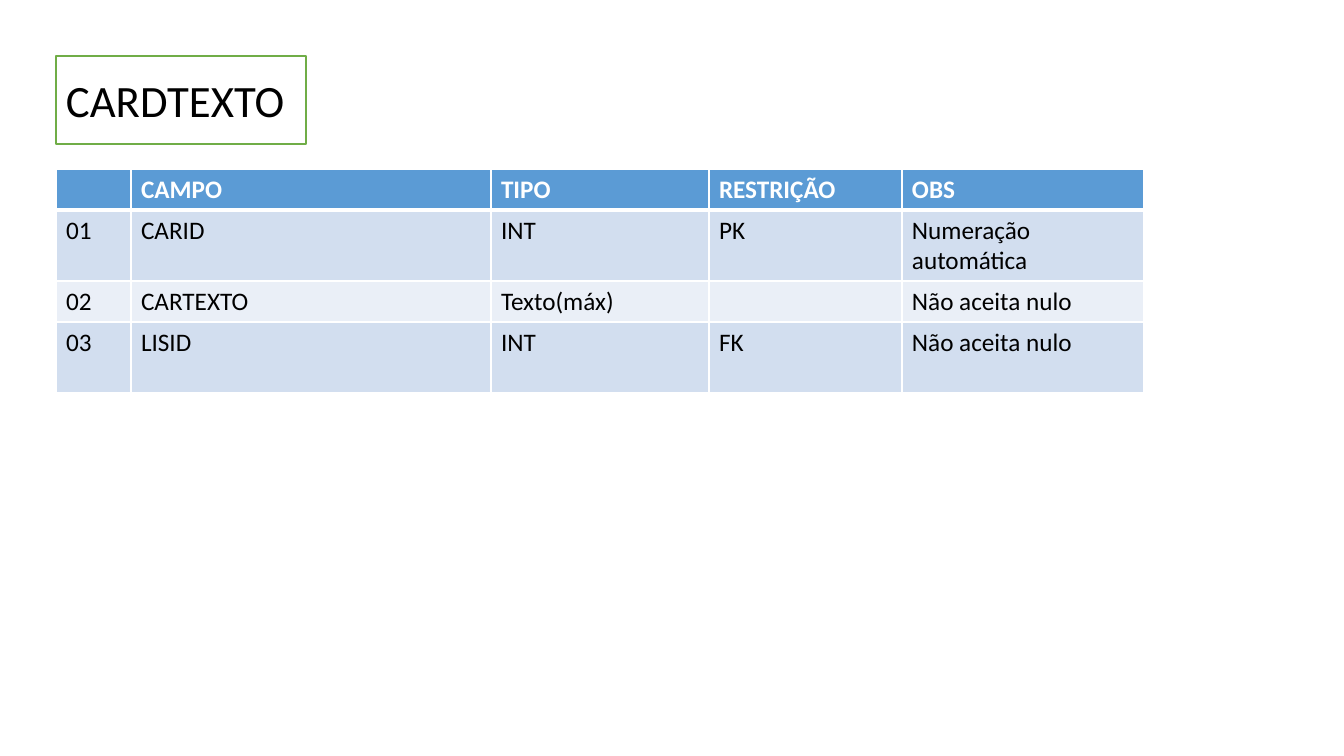
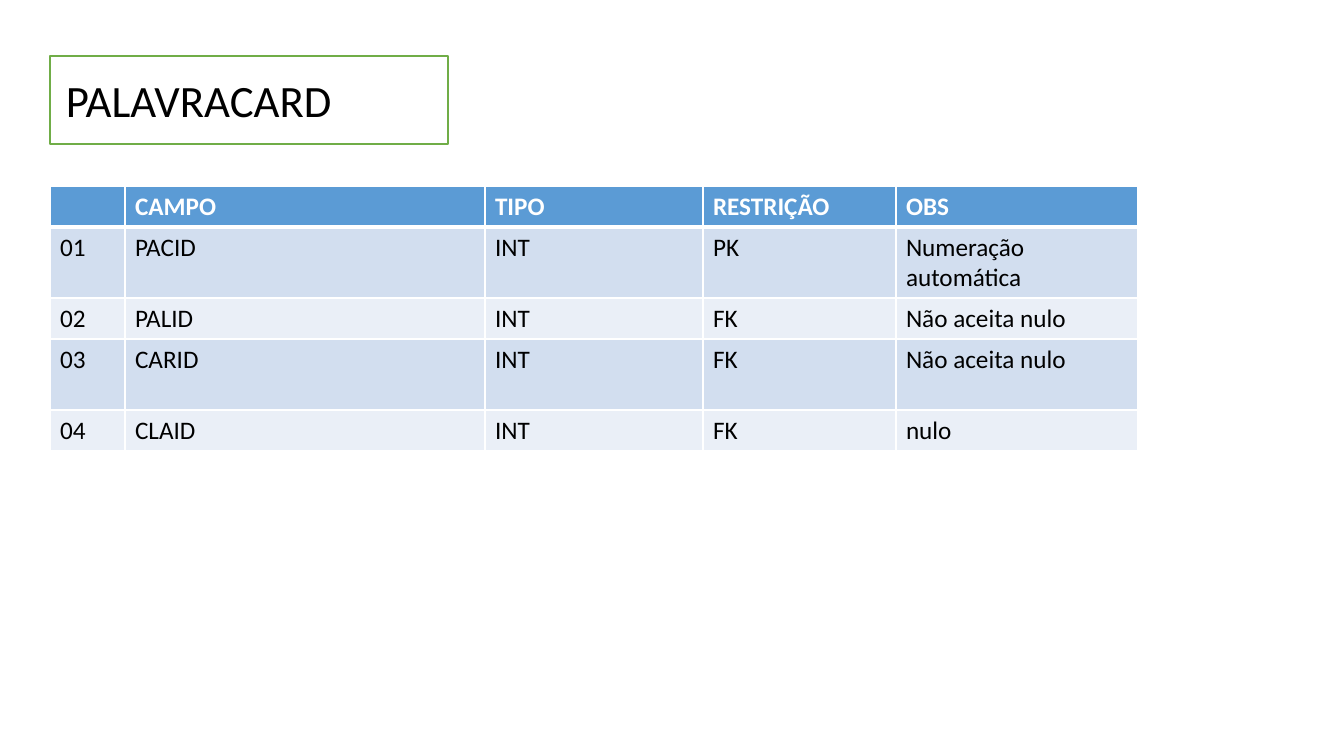
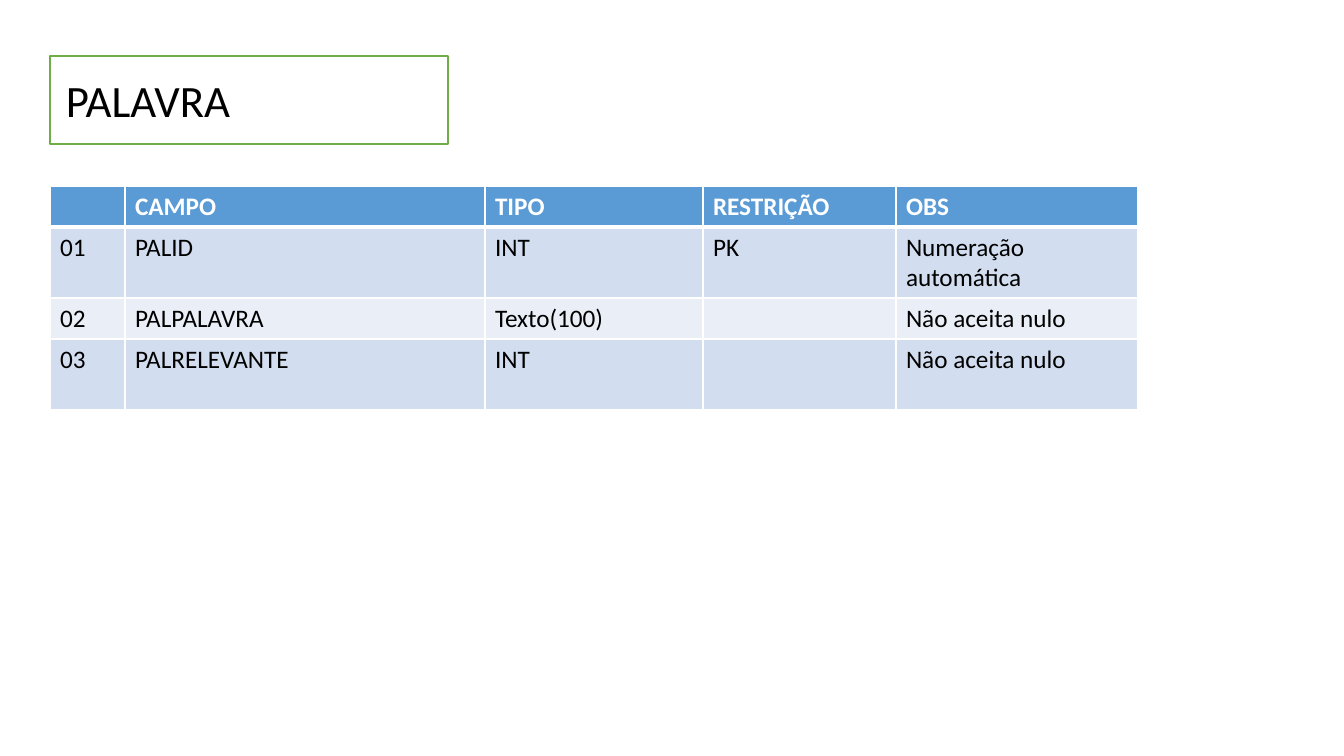
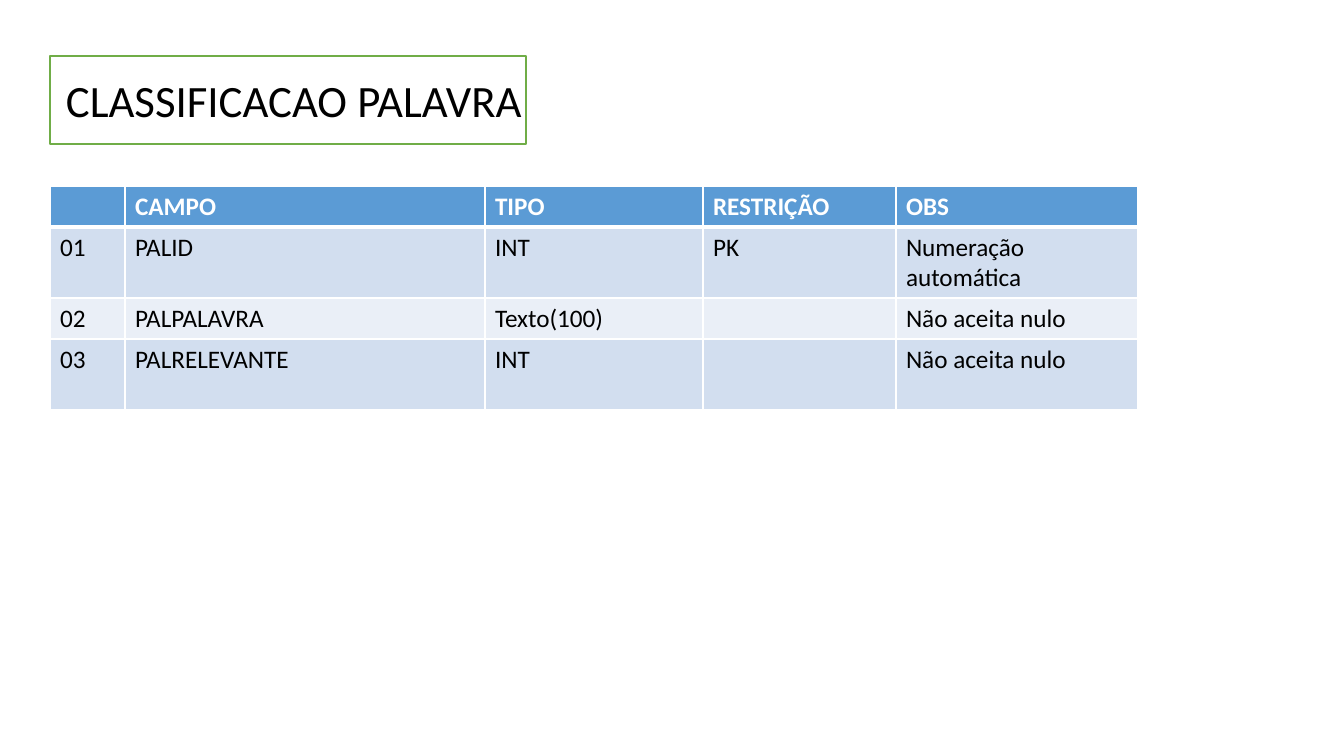
from lxml import etree
from pptx import Presentation
from pptx.dml.color import RGBColor
from pptx.enum.shapes import MSO_SHAPE
from pptx.enum.text import MSO_AUTO_SIZE
from pptx.oxml.ns import qn
from pptx.util import Emu, Pt

RECTANGLE = MSO_SHAPE.RECTANGLE
GROW_SHAPE = MSO_AUTO_SIZE.SHAPE_TO_FIT_TEXT
BLANK_LAYOUT = 6

EMU_PER_PIXEL = 914400 / 100.8
SLIDE_SIZE = (1344, 756)
FONT = "Calibri"
WHITE, BLACK, GREEN = "FFFFFF", "000000", "70AD47"
HEADER_FILL = "5B9BD5"
BAND_FILLS = ("D2DEEF", "EAEFF7")

HEADINGS = ("", "CAMPO", "TIPO", "RESTRIÇÃO", "OBS")
COLUMN_WIDTHS = (75, 360, 218, 193, 242)
LOW_ROW, HIGH_ROW = 41, 71

AUTOMATIC = "Numeração automática"
REQUIRED = "Não aceita nulo"
CARDTEXTO_FIELDS = (
    ("CARID", "INT", "PK", AUTOMATIC),
    ("CARTEXTO", "Texto(máx)", "", REQUIRED),
    ("LISID", "INT", "FK", REQUIRED),
)
PALAVRACARD_FIELDS = (
    ("PACID", "INT", "PK", AUTOMATIC),
    ("PALID", "INT", "FK", REQUIRED),
    ("CARID", "INT", "FK", REQUIRED),
    ("CLAID", "INT", "FK", "nulo"),
)
PALAVRA_FIELDS = (
    ("PALID", "INT", "PK", AUTOMATIC),
    ("PALPALAVRA", "Texto(100)", "", REQUIRED),
    ("PALRELEVANTE", "INT", "", REQUIRED),
)


def px(pixels):
    """Turn pixels into EMU."""
    return Emu(round(pixels * EMU_PER_PIXEL))


def color(hex_string):
    """Turn a hex string into a colour."""
    return RGBColor.from_string(hex_string)


def write(paragraph, text, size, hex_color, bold=False):
    """Put styled text into a paragraph."""
    paragraph.text = text
    font = paragraph.font
    font.name, font.size, font.bold = FONT, Pt(size), bold
    font.color.rgb = color(hex_color)


def add_title(slide, text, left, frame_width, text_width):
    """Add the green frame and the entity name over it."""
    frame = slide.shapes.add_shape(
        RECTANGLE, px(left), px(56), px(frame_width), px(88))
    frame.shadow.inherit = False
    frame.fill.solid()
    frame.fill.fore_color.rgb = color(WHITE)
    frame.line.color.rgb = color(GREEN)
    frame.line.width = Pt(1)

    title = slide.shapes.add_textbox(px(56), px(68), px(text_width), px(64))
    title.text_frame.word_wrap = True
    title.text_frame.auto_size = GROW_SHAPE
    write(title.text_frame.paragraphs[0], text, 32, BLACK)


def add_borders(cell, top, bottom):
    """Draw white cell borders, with top and bottom widths in points."""
    properties = cell._tc.get_or_add_tcPr()
    for side, width in (("L", 1), ("R", 1), ("T", top), ("B", bottom)):
        line = etree.SubElement(properties, qn("a:ln" + side), w=str(Pt(width)))
        fill = etree.SubElement(line, qn("a:solidFill"))
        etree.SubElement(fill, qn("a:srgbClr"), val=WHITE)


def add_field_table(slide, fields, left, top):
    """Add the table of numbered fields; odd fields get a high row."""
    rows = [HEADINGS]
    rows += [(f"{number:02d}", *field) for number, field in enumerate(fields, 1)]
    heights = [HIGH_ROW if index % 2 else LOW_ROW for index in range(len(rows))]
    table = slide.shapes.add_table(
        len(rows), len(HEADINGS), px(left), px(top),
        px(sum(COLUMN_WIDTHS)), px(sum(heights))).table
    for column, width in zip(table.columns, COLUMN_WIDTHS):
        column.width = px(width)

    for index, (values, height) in enumerate(zip(rows, heights)):
        is_header = index == 0
        table.rows[index].height = px(height)
        row_fill = HEADER_FILL if is_header else BAND_FILLS[(index - 1) % 2]
        for cell, value in zip(table.rows[index].cells, values):
            add_borders(cell, 3 if index == 1 else 1, 3 if is_header else 1)
            cell.fill.solid()
            cell.fill.fore_color.rgb = color(row_fill)
            write(cell.text_frame.paragraphs[0], value, 18,
                  WHITE if is_header else BLACK, is_header)


def add_entity_slide(presentation, name, fields, frame_width, text_width,
                     left=50, table_top=186):
    """Add a slide that describes one database entity."""
    slide = presentation.slides.add_slide(
        presentation.slide_layouts[BLANK_LAYOUT])
    add_title(slide, name, left, frame_width, text_width)
    add_field_table(slide, fields, left, table_top)


def main():
    """Build and save the presentation."""
    presentation = Presentation()
    presentation.slide_width, presentation.slide_height = map(px, SLIDE_SIZE)
    add_entity_slide(presentation, "CARDTEXTO", CARDTEXTO_FIELDS, 250, 273,
                     left=56, table_top=169)
    add_entity_slide(presentation, "PALAVRACARD", PALAVRACARD_FIELDS, 398, 459)
    add_entity_slide(presentation, "PALAVRA", PALAVRA_FIELDS, 398, 459)
    add_entity_slide(presentation, "CLASSIFICACAO PALAVRA", PALAVRA_FIELDS,
                     476, 791)
    presentation.save("out.pptx")


main()
